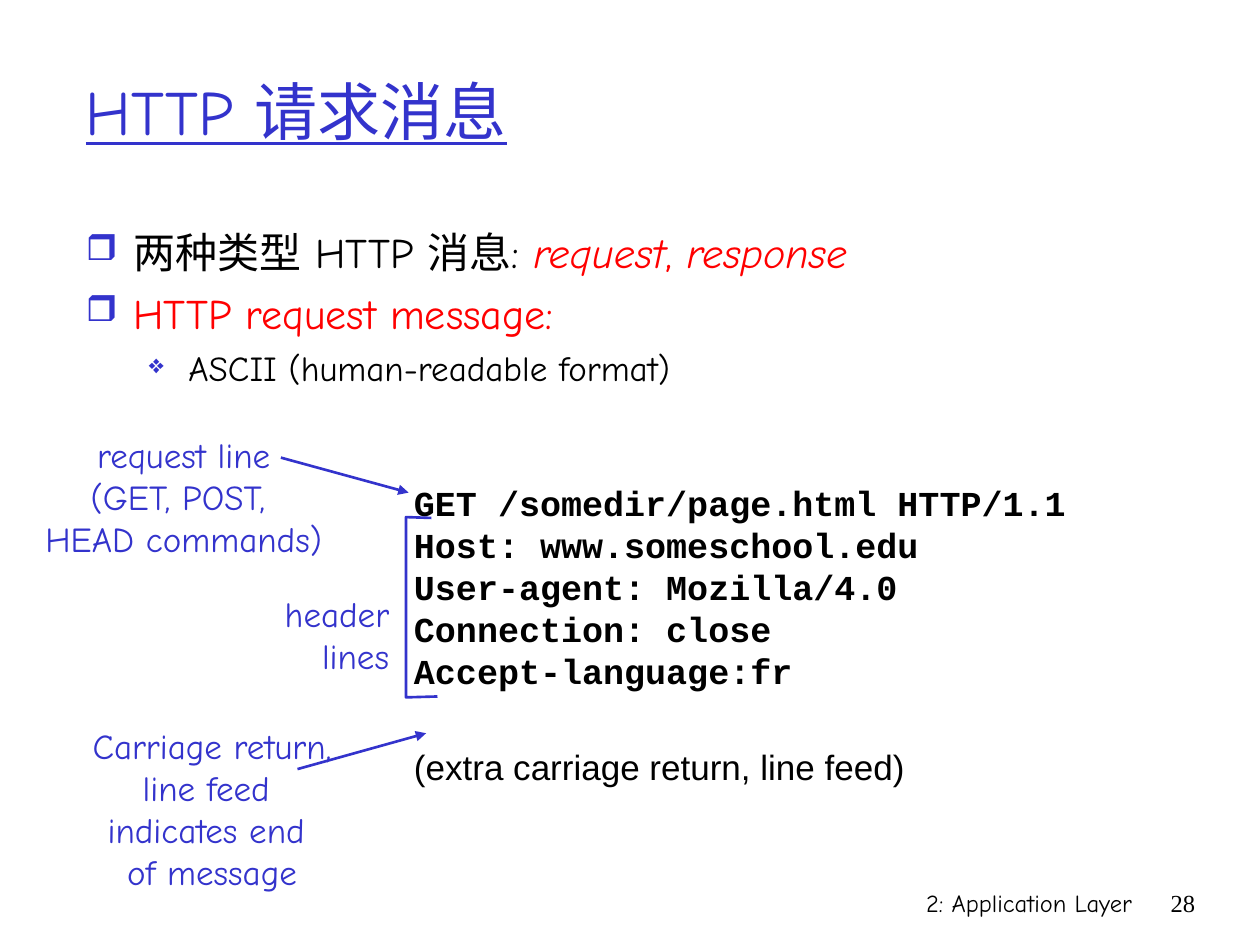
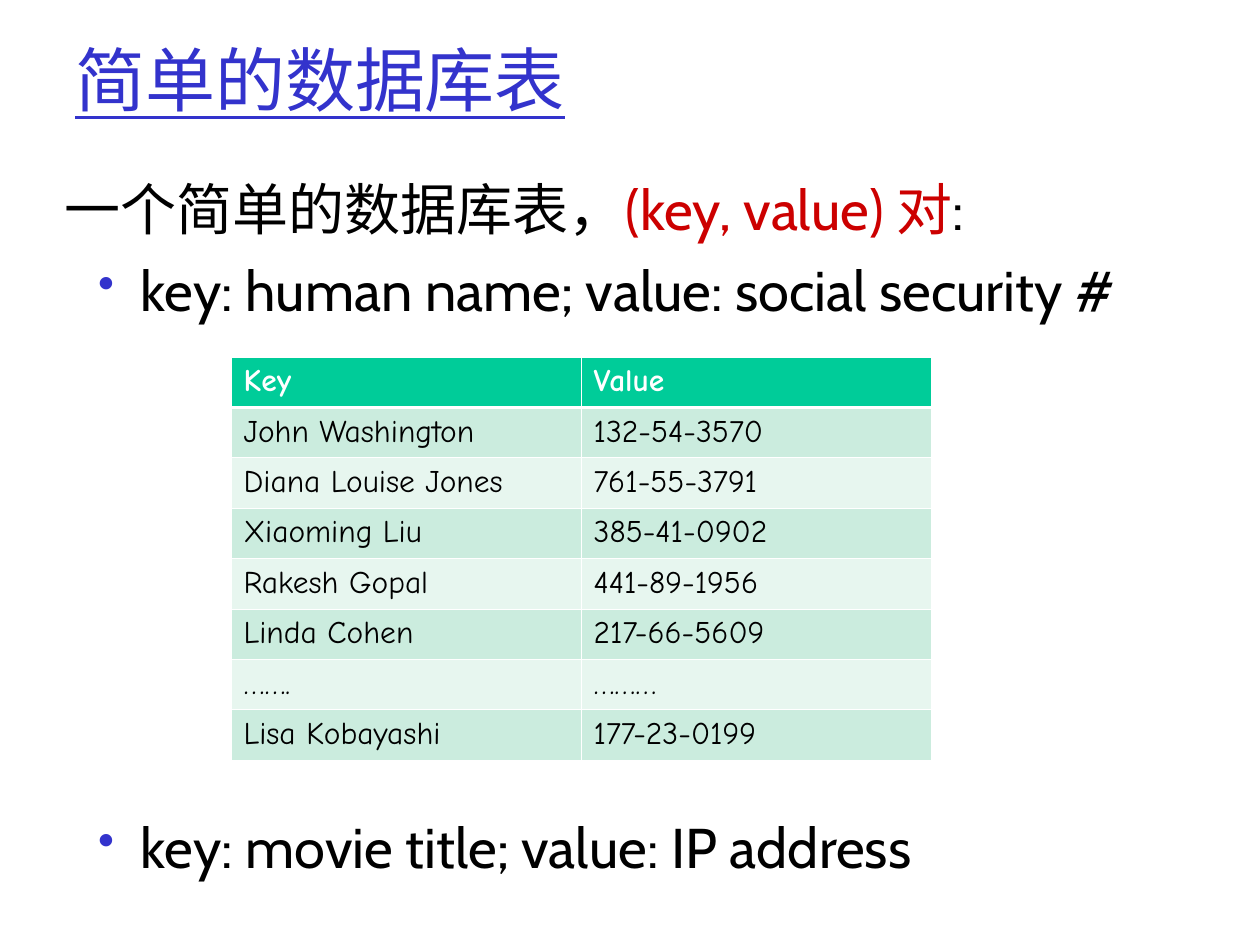
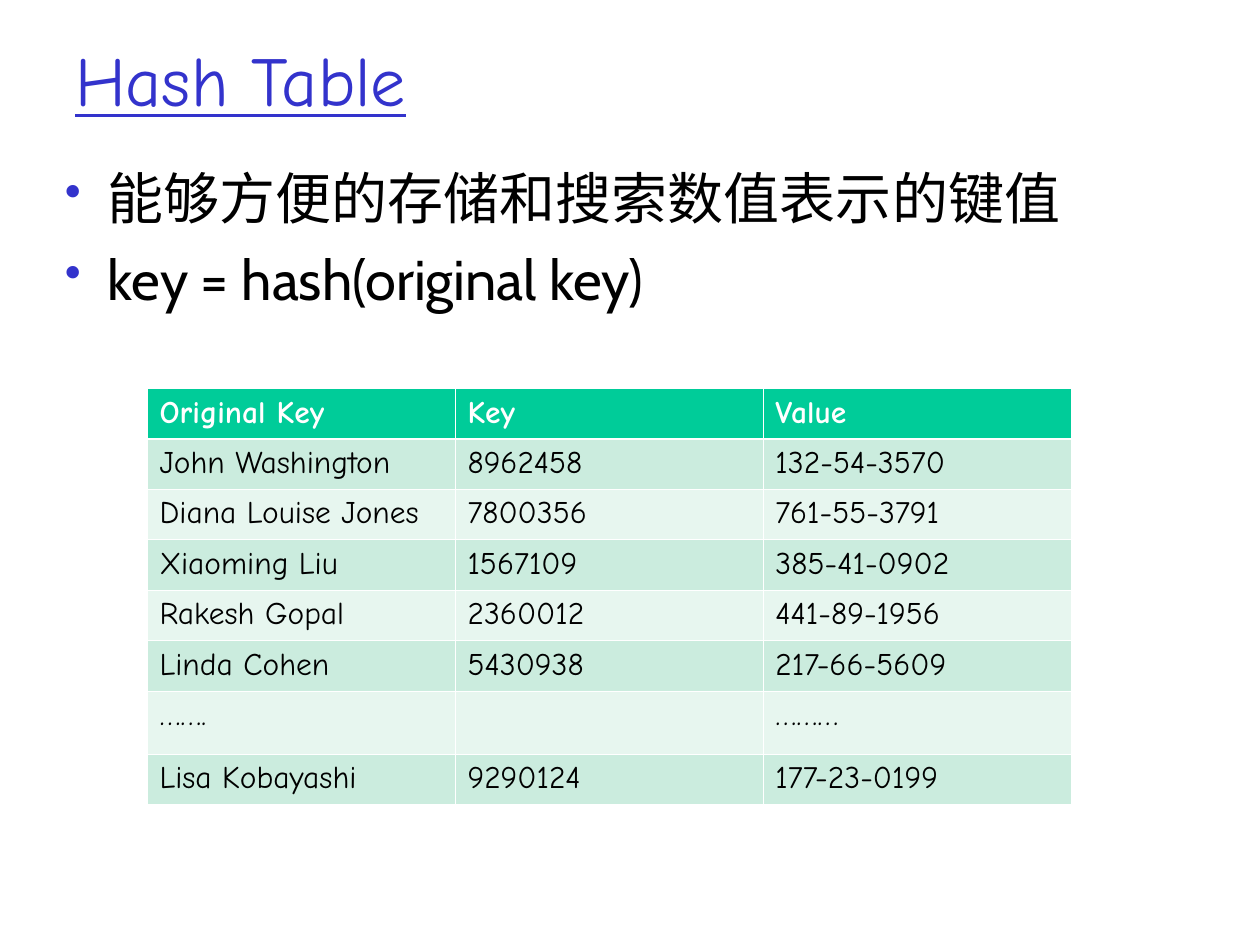
"""Builds three lecture slides on HTTP requests, a key-value table and a hash table."""
from lxml import etree
from pptx import Presentation
from pptx.dml.color import RGBColor
from pptx.enum.shapes import MSO_CONNECTOR
from pptx.enum.text import MSO_ANCHOR, PP_ALIGN
from pptx.oxml.ns import qn
from pptx.util import Pt

LEFT, CENTER, RIGHT = PP_ALIGN.LEFT, PP_ALIGN.CENTER, PP_ALIGN.RIGHT
TOP, MIDDLE = MSO_ANCHOR.TOP, MSO_ANCHOR.MIDDLE
STRAIGHT = MSO_CONNECTOR.STRAIGHT

COLORS = {
    "accent": "3333CC", "text": "000000", "red": "FF0000", "dark red": "CC0000",
    "white": "FFFFFF", "header": "00CC99", "odd": "CBECDE", "even": "E7F6EF",
}
HAND, SANS, MONO = "Comic Neue", "Cabin", "Courier New"
CHINESE, SERIF, PLAIN = "Noto Sans CJK SC", "Times New Roman", "Arial"

BULLETS = {
    "box": dict(char="❒", size=85, left=27, hang=27),
    "diamond": dict(char="❖", size=75, left=58.5, hang=22.5),
    "dot": dict(char="•", size=85, left=24.5, hang=24.5),
    "inner dot": dict(char="•", size=85, left=43.5, hang=24.5),
}

REQUEST_TITLE = ("HTTP 请求消息", (42, 18, 612, 90), 36, HAND)
DATABASE_TITLE = ("简单的数据库表", (36, 0, 648, 90), 40, CHINESE)
HASH_TITLE = ("Hash Table", (36, 0, 648, 90), 40, HAND)

REQUEST_POINTS = [
    dict(spans=[("两种类型 HTTP 消息: ", "text", False), ("request", "red", True),
                (", ", "red", False), ("response", "red", True)],
         bullet="box", size=24),
    dict(spans=[("HTTP request message:", "red", False)], bullet="box", size=24, before=6),
    dict(spans=[("ASCII (human-readable format)", "text", False)],
         bullet="diamond", size=20, before=5),
]
REQUEST_CODE = [
    "GET /somedir/page.html HTTP/1.1",
    "Host: www.someschool.edu",
    "User-agent: Mozilla/4.0",
    "Connection: close",
    "Accept-language:fr",
]
CODE_END = "(extra carriage return, line feed)"
CALLOUTS = [
    (["request line", "(GET, POST, ", "HEAD commands)"], (18.5, 244, 173, 79), CENTER),
    (["header", "lines"], (155.5, 335, 74, 55), RIGHT),
    (["Carriage return, ", "line feed ", "indicates end ", "of message"],
     (42.5, 410.5, 157.5, 103.5), CENTER),
]
ARROWS = [((160.5, 261.5), (233.5, 281.5)), ((170, 439.5), (243.5, 419))]
BRACKET = [(246.5, 296), (232, 295.5), (232, 398.5), (250, 398)]
FOOTERS = [("2: Application Layer", (426, 504, 228, 36), HAND), ("28", (654, 504, 36, 36), SERIF)]

PAIR_INTRO = [("一个简单的数据库表，", "text", False), ("(key, value) 对", "dark red", False),
              (":", "text", False)]
PERSON_PAIR = "key: human name; value: social security #"
MOVIE_PAIR = "key: movie title; value: IP address"
HASH_POINTS = ["能够方便的存储和搜索数值表示的键值", "key = hash(original key)"]

RECORDS = [
    ("Original Key", "Key", "Value"),
    ("John Washington", "8962458", "132-54-3570"),
    ("Diana Louise Jones", "7800356", "761-55-3791"),
    ("Xiaoming Liu", "1567109", "385-41-0902"),
    ("Rakesh Gopal", "2360012", "441-89-1956"),
    ("Linda Cohen", "5430938", "217-66-5609"),
    ("…….", "", "………"),
    ("Lisa Kobayashi", "9290124", "177-23-0199"),
]
DATABASE_ROWS = [("Key", "Value")] + [(name, value) for name, _, value in RECORDS[1:]]
ROW_HEIGHT, TALL_ROW = 28.8, 36
THIN, THICK = 0.45, 1.47


def color(name):
    return RGBColor.from_string(COLORS[name])


def style_span(span, size, face, tint="text", bold=False, italic=False, underline=False):
    font = span.font
    font.size, font.name = Pt(size), face
    font.bold, font.italic, font.underline = bold, italic, underline
    font.color.rgb = color(tint)
    east_asian = etree.Element(qn("a:ea"), typeface=face)
    font._element.find(qn("a:latin")).addnext(east_asian)


def add_bullet(para, bullet):
    properties = para._p.get_or_add_pPr()
    properties.set("marL", str(Pt(bullet["left"])))
    properties.set("indent", str(-Pt(bullet["hang"])))
    tint = etree.SubElement(properties, qn("a:buClr"))
    etree.SubElement(tint, qn("a:srgbClr"), val=COLORS["accent"])
    etree.SubElement(properties, qn("a:buSzPct"), val=str(bullet["size"] * 1000))
    etree.SubElement(properties, qn("a:buChar"), char=bullet["char"])


def add_text(page, place, lines, anchor=TOP, align=LEFT, wrap=True):
    """Adds a text box; each line is a dict of spans, bullet, before and font settings."""
    box = page.shapes.add_textbox(*map(Pt, place))
    frame = box.text_frame
    frame.word_wrap, frame.vertical_anchor = wrap, anchor
    for index, line in enumerate(lines):
        settings = dict(line)
        spans = settings.pop("spans")
        bullet = settings.pop("bullet", None)
        before = settings.pop("before", 0)
        para = frame.paragraphs[0] if index == 0 else frame.add_paragraph()
        if bullet:
            add_bullet(para, BULLETS[bullet])
        para.alignment = align
        para.space_before = Pt(before)
        for text, tint, italic in spans:
            span = para.add_run()
            span.text = text
            style_span(span, tint=tint, italic=italic, **settings)


def plain(text, size, face, tint="text", **settings):
    return dict(spans=[(text, tint, False)], size=size, face=face, **settings)


def add_title(page, text, place, size, face):
    add_text(page, place, [plain(text, size, face, "accent", underline=True)], anchor=MIDDLE)


def add_arrow(page, start, end):
    arrow = page.shapes.add_connector(STRAIGHT, *map(Pt, start + end))
    arrow.line.color.rgb = color("accent")
    arrow.line.width = Pt(1.5)
    etree.SubElement(arrow.line._get_or_add_ln(), qn("a:tailEnd"), type="triangle")
    etree.SubElement(arrow._element.spPr, qn("a:effectLst"))


def add_bracket(page, points):
    corners = [(Pt(x), Pt(y)) for x, y in points]
    builder = page.shapes.build_freeform(*corners[0])
    builder.add_line_segments(corners[1:], close=False)
    bracket = builder.convert_to_shape()
    bracket.shadow.inherit = False
    bracket.fill.background()
    bracket.line.color.rgb = color("accent")
    bracket.line.width = Pt(1.5)


def add_borders(cell, widths):
    properties = cell._tc.get_or_add_tcPr()
    for side, width in widths.items():
        border = etree.SubElement(properties, qn(f"a:ln{side}"), w=str(Pt(width)))
        fill = etree.SubElement(border, qn("a:solidFill"))
        etree.SubElement(fill, qn("a:srgbClr"), val=COLORS["white"])


def add_records(page, left, top, column_width, rows):
    heights = [TALL_ROW if "" in row else ROW_HEIGHT for row in rows]
    count = len(rows[0])
    table = page.shapes.add_table(len(rows), count, Pt(left), Pt(top),
                                  Pt(column_width * count), Pt(sum(heights))).table
    for column in table.columns:
        column.width = Pt(column_width)
    for index, (row, height) in enumerate(zip(rows, heights)):
        header = index == 0
        table.rows[index].height = Pt(height)
        fill = "header" if header else "odd" if index % 2 else "even"
        borders = {"L": THIN, "R": THIN, "T": THICK if index == 1 else THIN,
                   "B": THICK if header else THIN}
        for cell, text in zip(table.rows[index].cells, row):
            add_borders(cell, borders)
            cell.fill.solid()
            cell.fill.fore_color.rgb = color(fill)
            cell.text_frame.text = text
            for span in cell.text_frame.paragraphs[0].runs:
                style_span(span, 18, HAND, "white" if header else "text", bold=header)


def build_request(page):
    for text, place, face in FOOTERS:
        add_text(page, place, [plain(text, 14, face)], align=RIGHT)
    add_title(page, *REQUEST_TITLE)
    add_text(page, (42, 126, 612, 366), [dict(point, face=HAND) for point in REQUEST_POINTS])
    code = [plain(line, 20, MONO, bold=True) for line in REQUEST_CODE]
    add_text(page, (229.5, 271.5, 387.5, 185), code + [plain(CODE_END, 20, PLAIN, before=31)],
             wrap=False)
    for lines, place, align in CALLOUTS:
        add_text(page, place, [plain(line, 20, HAND, "accent") for line in lines],
                 align=align, wrap=False)
    for start, end in ARROWS:
        add_arrow(page, start, end)
    add_bracket(page, BRACKET)


def build_database(page):
    add_records(page, 132, 204, 200, DATABASE_ROWS)
    add_text(page, (30, 96, 690, 100),
             [dict(spans=PAIR_INTRO, size=32, face=SANS),
              plain(PERSON_PAIR, 32, SANS, bullet="inner dot", before=8)])
    add_title(page, *DATABASE_TITLE)
    add_text(page, (30, 461, 690, 48), [plain(MOVIE_PAIR, 32, SANS, bullet="inner dot")])


def build_hash(page):
    add_records(page, 84, 222, 176, RECORDS)
    add_text(page, (30, 90, 636, 100),
             [plain(text, 32, SANS, bullet="dot", before=8 * (index > 0))
              for index, text in enumerate(HASH_POINTS)])
    add_title(page, *HASH_TITLE)


def main():
    deck = Presentation()
    deck.slide_width, deck.slide_height = Pt(720), Pt(540)
    for build in (build_request, build_database, build_hash):
        build(deck.slides.add_slide(deck.slide_layouts[6]))
    deck.save("out.pptx")


if __name__ == "__main__":
    main()
